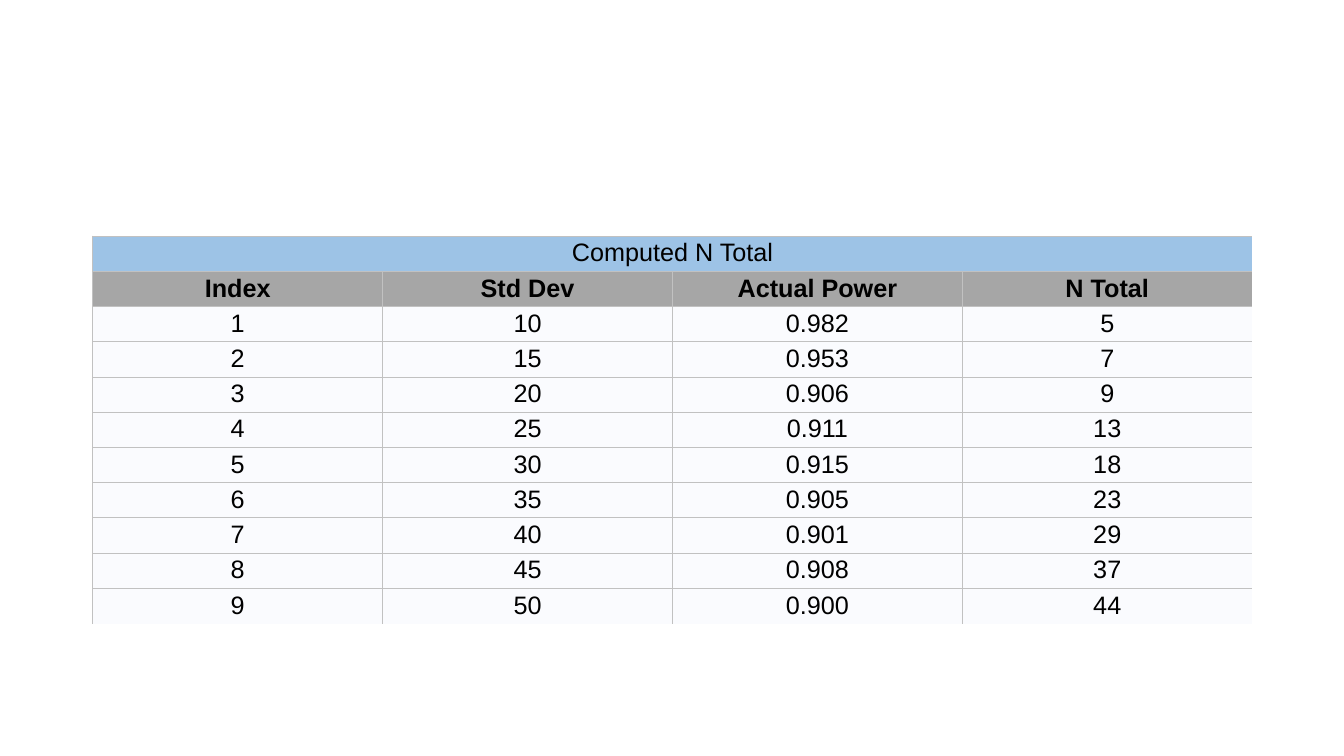
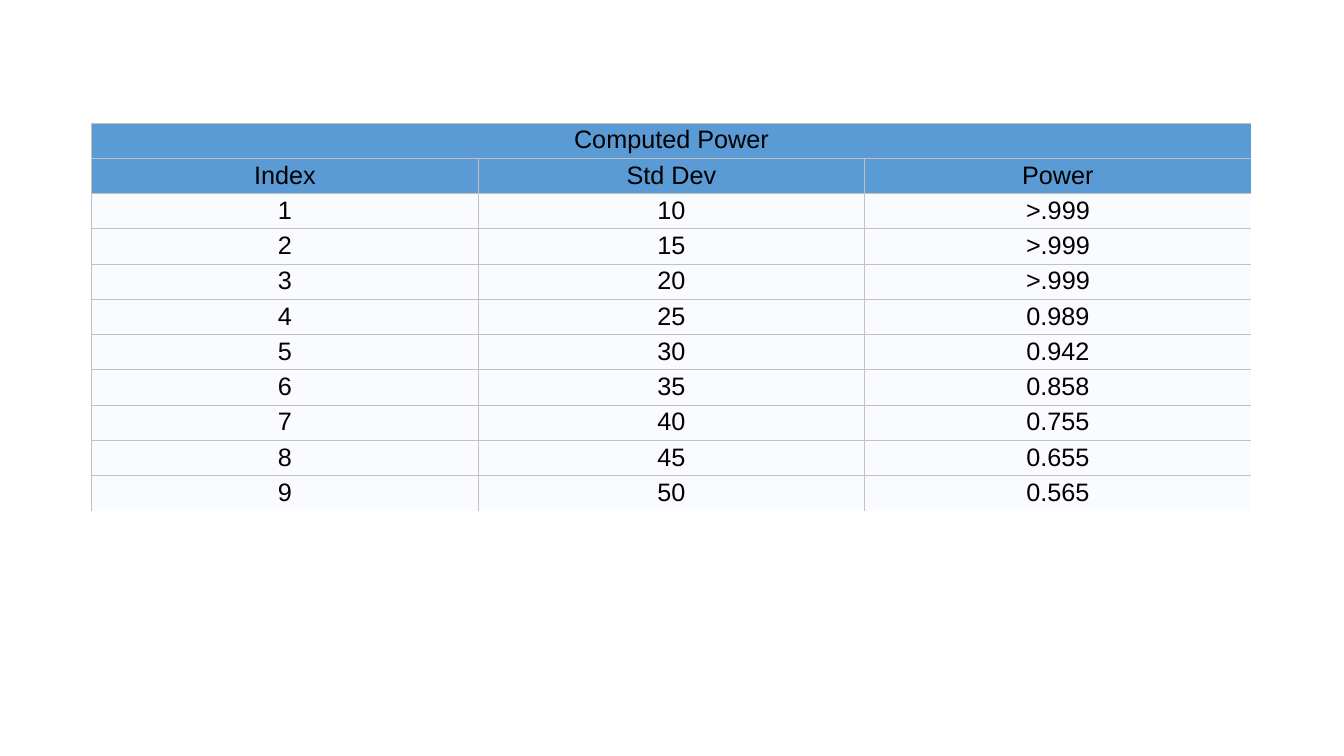
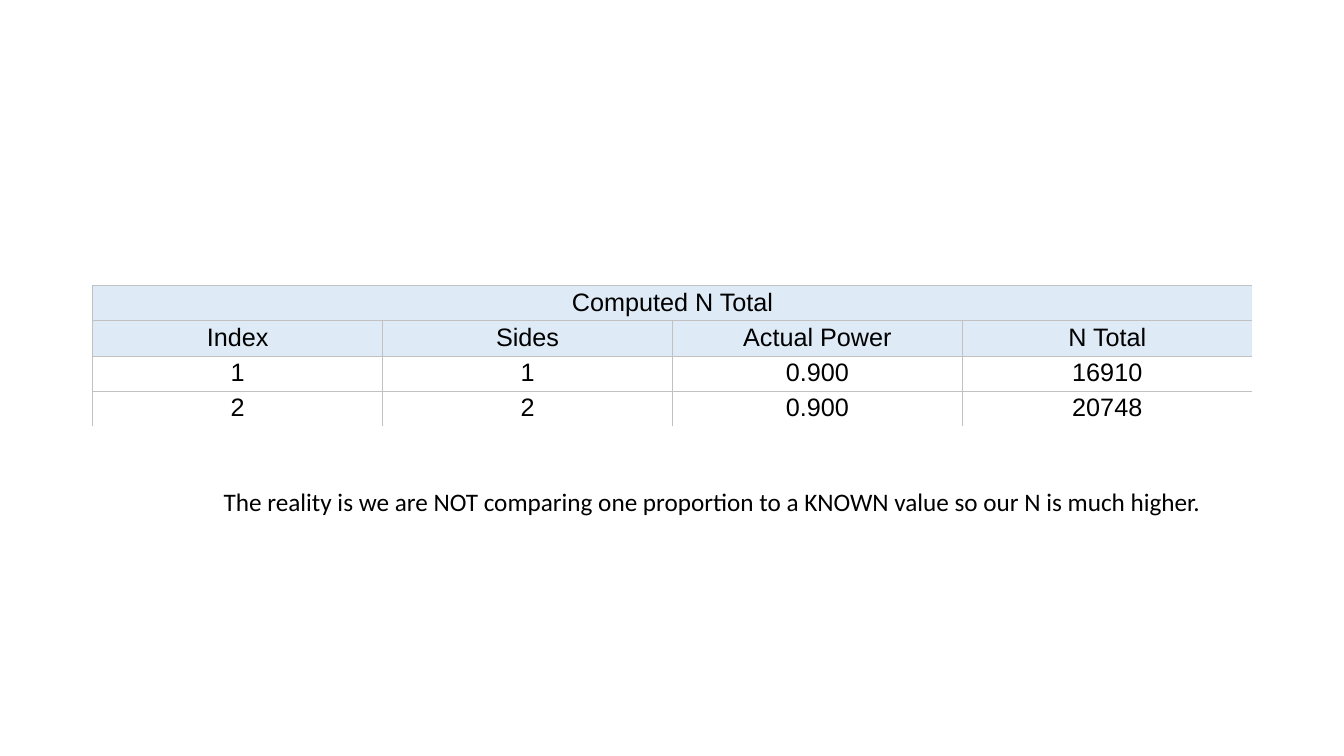
from dataclasses import dataclass

from lxml import etree
from pptx import Presentation
from pptx.dml.color import RGBColor
from pptx.enum import text
from pptx.oxml import ns
from pptx.util import Inches, Pt


@dataclass(frozen=True)
class Theme:
    ink: str = "000000"
    grid: str = "C1C1C1"
    sky: str = "9DC3E6"
    gray: str = "A6A6A6"
    blue: str = "5B9BD5"
    pale_blue: str = "DEEBF7"
    body: str = "FAFBFE"
    white: str = "FFFFFF"
    table_font: str = "Arial"
    note_font: str = "Calibri"
    size: int = 18
    grid_width: float = 0.5
    cell_margin: float = 0.03
    table_width: float = 11.5
    row_height: float = 0.35


THEME = Theme()


# Text and cell formatting
def style_paragraph(paragraph, font_name, bold=False):
    for run in paragraph.runs:
        run.font.name = font_name
        run.font.size = Pt(THEME.size)
        run.font.bold = bold
        run.font.color.rgb = RGBColor.from_string(THEME.ink)


def set_borders(cell, visible):
    """Draw grid lines on the sides in visible (L, R, T, B), none on the others."""
    properties = cell._tc.get_or_add_tcPr()
    for side in "LRTB":
        line = etree.SubElement(properties, ns.qn(f"a:ln{side}"),
                                w=str(Pt(THEME.grid_width)))
        if side in visible:
            fill = etree.SubElement(line, ns.qn("a:solidFill"))
            etree.SubElement(fill, ns.qn("a:srgbClr"), val=THEME.grid)
        else:
            etree.SubElement(line, ns.qn("a:noFill"))


def format_cell(cell, value, fill, borders, bold):
    margin = Inches(THEME.cell_margin)
    cell.margin_left = cell.margin_right = margin
    cell.margin_top = cell.margin_bottom = margin
    set_borders(cell, borders)
    cell.fill.solid()
    cell.fill.fore_color.rgb = RGBColor.from_string(fill)
    cell.text_frame.text = value
    paragraph = cell.text_frame.paragraphs[0]
    paragraph.alignment = text.PP_ALIGN.CENTER
    style_paragraph(paragraph, THEME.table_font, bold)


# Slide elements
def add_result_table(slide, left, top, title, headings, records,
                     title_fill, heading_fill, body_fill, bold_headings=False):
    """Table with a spanning title; its right and bottom edges stay open."""
    column_count = len(headings)
    rows = [[title] + [""] * (column_count - 1), headings, *records]
    table = slide.shapes.add_table(
        len(rows), column_count, Inches(left), Inches(top),
        Inches(THEME.table_width), Inches(THEME.row_height * len(rows))).table
    table.first_row = table.horz_banding = False

    for row_index, values in enumerate(rows):
        fill = (title_fill, heading_fill, body_fill)[min(row_index, 2)]
        is_title, is_last_row = row_index == 0, row_index == len(rows) - 1
        for column_index, value in enumerate(values):
            borders = "T" if is_last_row else "TB"
            if column_index == 0 or not is_title:
                borders += "L"
            if column_index < column_count - 1 and not is_title:
                borders += "R"
            format_cell(table.cell(row_index, column_index), value, fill,
                        borders, bold_headings and row_index == 1)
    table.cell(0, 0).merge(table.cell(0, column_count - 1))


def add_note(slide, left, top, width, height, note):
    box = slide.shapes.add_textbox(Inches(left), Inches(top),
                                   Inches(width), Inches(height))
    frame = box.text_frame
    frame.word_wrap = False
    frame.auto_size = text.MSO_AUTO_SIZE.SHAPE_TO_FIT_TEXT
    frame.text = note
    style_paragraph(frame.paragraphs[0], THEME.note_font)


def deviation_records(*result_columns):
    """Number the results and pair them with deviations 10, 15, 20 and so on."""
    return [[str(index), str(5 + 5 * index), *results]
            for index, results in enumerate(zip(*result_columns), start=1)]


def main():
    presentation = Presentation()
    presentation.slide_width = Inches(13.33)
    presentation.slide_height = Inches(7.5)
    blank = presentation.slide_layouts[6]

    # Sample size by standard deviation
    slide = presentation.slides.add_slide(blank)
    actual_power = ["0.982", "0.953", "0.906", "0.911", "0.915",
                    "0.905", "0.901", "0.908", "0.900"]
    n_total = ["5", "7", "9", "13", "18", "23", "29", "37", "44"]
    add_result_table(slide, 0.92, 2.34, "Computed N Total",
                     ["Index", "Std Dev", "Actual Power", "N Total"],
                     deviation_records(actual_power, n_total),
                     THEME.sky, THEME.gray, THEME.body, bold_headings=True)

    # Power by standard deviation
    slide = presentation.slides.add_slide(blank)
    power = [">.999", ">.999", ">.999", "0.989", "0.942",
             "0.858", "0.755", "0.655", "0.565"]
    add_result_table(slide, 0.91, 1.22, "Computed Power",
                     ["Index", "Std Dev", "Power"], deviation_records(power),
                     THEME.blue, THEME.blue, THEME.body)

    # Sample size by number of sides
    slide = presentation.slides.add_slide(blank)
    add_result_table(slide, 0.92, 2.83, "Computed N Total",
                     ["Index", "Sides", "Actual Power", "N Total"],
                     [["1", "1", "0.900", "16910"], ["2", "2", "0.900", "20748"]],
                     THEME.pale_blue, THEME.pale_blue, THEME.white)
    add_note(slide, 2.12, 4.78, 10.01, 0.4,
             "The reality is we are NOT comparing one proportion to a KNOWN "
             "value so our N is much higher.")

    presentation.save("out.pptx")


if __name__ == "__main__":
    main()
